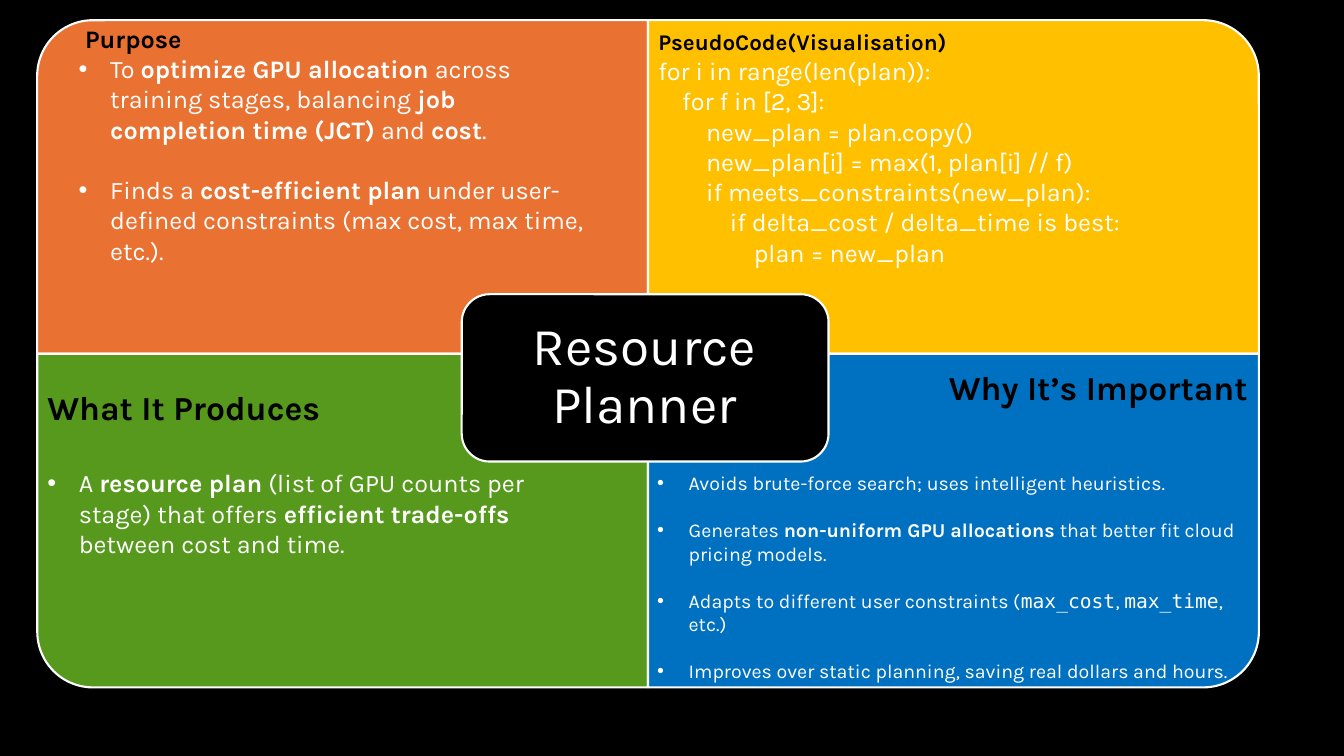
"""Build the Resource Planner slide: four coloured panels around a title."""
import pptx
import pptx.dml.color
import pptx.enum.shapes
import pptx.enum.text
import pptx.util
from lxml import etree

Pt = pptx.util.Pt
KIND = pptx.enum.shapes.MSO_SHAPE
ALIGN = pptx.enum.text.PP_ALIGN
ANCHOR = pptx.enum.text.MSO_ANCHOR
FONT, MONO = "Karla", "DejaVu Sans Mono"
WHITE, BLACK = "FFFFFF", "000000"
LEFT, TOP, WIDE, HIGH = 26.6, 14.4, 436.3, 238.3
HANG = 22.5

PANELS = [
    (0, 0, 270, "E97132"),
    (1, 0, 0, "FFC000"),
    (0, 1, 180, "56991D"),
    (1, 1, 90, "0070C0"),
]

GOALS = [
    "To *optimize GPU allocation* across training stages, balancing "
    "*job completion time (JCT)* and *cost*.",
    "Finds a *cost-efficient plan* under user-defined constraints "
    "(max cost, max time, etc.).",
]

CODE = """for i in range(len(plan)):
    for f in [2, 3]:
        new_plan = plan.copy()
        new_plan[i] = max(1, plan[i] // f)
        if meets_constraints(new_plan):
            if delta_cost / delta_time is best:
                plan = new_plan"""

YIELD = [
    "A *resource plan* (list of GPU counts per stage) that offers "
    "*efficient trade-offs* between cost and time.",
]

REASONS = [
    "Avoids brute-force search; uses intelligent heuristics.",
    "Generates *non-uniform GPU allocations* that better fit cloud pricing models.",
    "Adapts to different user constraints (`max_cost`, `max_time`, etc.)",
    "Improves over static planning, saving real dollars and hours.",
]


def tint(fill, color):
    """Make a fill solid in a hex colour."""
    fill.solid()
    fill.fore_color.rgb = pptx.dml.color.RGBColor.from_string(color)


def add_panel(slide, kind, left, top, wide, high, color, turn=0):
    """Add a white-edged panel, turned about its centre."""
    panel = slide.shapes.add_shape(kind, Pt(left), Pt(top), Pt(wide), Pt(high))
    panel.rotation = turn
    panel.shadow.inherit = False
    tint(panel.fill, color)
    tint(panel.line.fill, WHITE)
    panel.line.width = Pt(1.5)


def place(holder, left, top, wide, high, anchor=ANCHOR.TOP):
    """Move a placeholder to the front and return its text frame."""
    holder.left, holder.top = Pt(left), Pt(top)
    holder.width, holder.height = Pt(wide), Pt(high)
    holder.element.getparent().append(holder.element)
    frame = holder.text_frame
    frame.word_wrap = True
    frame.auto_size = pptx.enum.text.MSO_AUTO_SIZE.NONE
    frame.vertical_anchor = anchor
    return frame


def add_runs(para, text):
    """Add runs, with *bold* and `mono` marks."""
    for i, part in enumerate(text.split("*")):
        for j, piece in enumerate(part.split("`")):
            if piece:
                run = para.add_run()
                run.text = piece
                if i % 2:
                    run.font.bold = True
                if j % 2:
                    run.font.name = MONO


def write(frame, text, size, color=WHITE, bold=False, gap=0, bullet=False,
          inset=0, align=ALIGN.LEFT):
    """Write one paragraph into a frame."""
    first = frame.paragraphs[0]
    para = frame.add_paragraph() if first.runs else first
    props = para._p.get_or_add_pPr()
    props.set("marL", str(Pt(HANG if bullet else inset)))
    props.set("indent", str(Pt(-HANG if bullet else 0)))
    tag = pptx.oxml.ns.qn("a:buChar" if bullet else "a:buNone")
    mark = etree.SubElement(props, tag)
    if bullet:
        mark.set("char", "•")
    para.alignment = align
    para.line_spacing = 1.0
    para.space_before, para.space_after = Pt(gap), Pt(0)
    font = para.font
    font.name, font.size, font.bold = FONT, Pt(size), bold
    tint(font.fill, color)
    add_runs(para, text)
    return para


def add_list(frame, items, size, lead, gap):
    """Write bullets, with a lead before the first and a gap between."""
    for i, item in enumerate(items):
        write(frame, item, size, gap=gap if i else lead, bullet=True)


def main():
    """Build and save the slide."""
    deck = pptx.Presentation()
    deck.slide_width, deck.slide_height = Pt(960), Pt(540)
    slide = deck.slides.add_slide(deck.slide_layouts.get_by_name("Comparison"))
    tint(slide.background.fill, BLACK)

    for col, row, turn, color in PANELS:
        wide, high = (HIGH, WIDE) if turn % 180 else (WIDE, HIGH)
        left = LEFT + (col + 0.5) * WIDE - wide / 2
        top = TOP + (row + 0.5) * HIGH - high / 2
        add_panel(slide, KIND.ROUND_1_RECTANGLE, left, top, wide, high, color, turn)
    add_panel(slide, KIND.ROUNDED_RECTANGLE, 329.8, 210.2, 262, 119.5, BLACK)

    title, goal, code, made, why = slide.placeholders
    frame = place(title, 335.5, 216, 249.8, 107.3, ANCHOR.MIDDLE)
    frame.margin_left = frame.margin_right = Pt(11.5)
    frame.margin_top = frame.margin_bottom = Pt(11.5)
    para = write(frame, "Resource Planner", 38, align=ALIGN.CENTER)
    para.line_spacing = 0.9

    frame = place(goal, 49, 13, 385.2, 203.8)
    write(frame, "Purpose", 18, BLACK, True, inset=4.5)
    add_list(frame, GOALS, 18, 0, 21.6)

    frame = place(code, 463, 16.8, WIDE, 210.7)
    write(frame, "PseudoCode(Visualisation)", 16, BLACK, True)
    for line in CODE.splitlines():
        write(frame, line, 18)

    frame = place(made, LEFT, 272.9, 406.8, 131)
    write(frame, "What It Produces", 24, BLACK, True)
    add_list(frame, YIELD, 18, 28.8, 0)

    frame = place(why, 462.2, 258.5, WIDE, 234.7)
    write(frame, "Why It’s Important", 24, BLACK, True, align=ALIGN.RIGHT)
    add_list(frame, REASONS, 14, 45.6, 16.8)

    deck.save("out.pptx")


if __name__ == "__main__":
    main()
